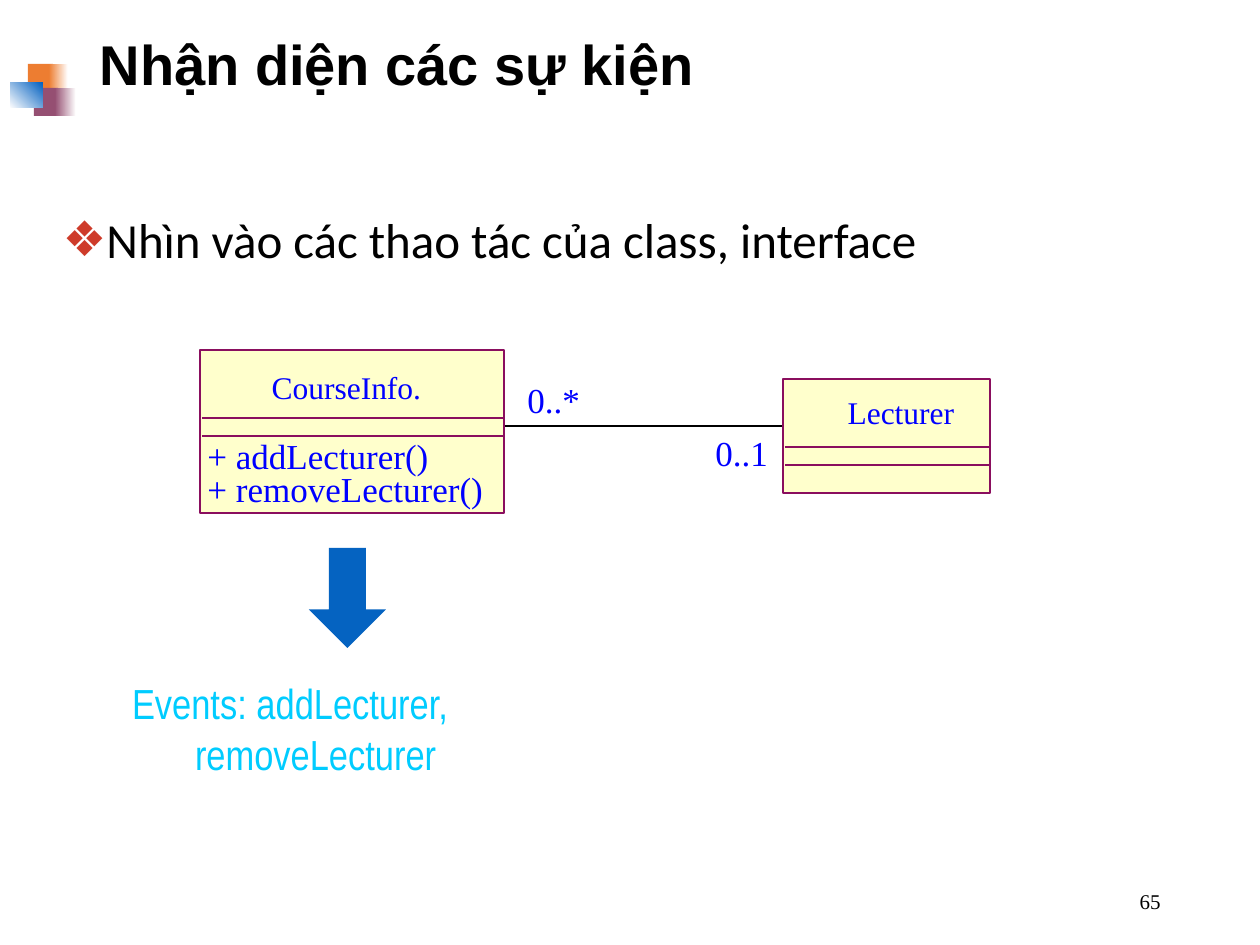
from lxml.etree import SubElement
from pptx import Presentation
from pptx.dml.color import RGBColor
from pptx.enum.shapes import MSO_CONNECTOR, MSO_SHAPE
from pptx.enum.text import MSO_ANCHOR, MSO_AUTO_SIZE, PP_ALIGN
from pptx.oxml.ns import qn
from pptx.util import Emu, Pt

SERIF = "Times New Roman"
BLACK, INK, BORDER, CREAM = "000000", "0000FF", "8A0E5E", "FFFFCC"
ORANGE, PLUM, BLUE, WHITE = "ED7D31", "954F72", "0563C1", "FFFFFF"


def px(n):
    """Pixels, at 126 to the inch, as EMU."""
    return Emu(round(n * 914400 / 126))


def rgb(value):
    return RGBColor.from_string(value)


def format_text(tf, size, font, color, align=PP_ALIGN.LEFT, bold=False):
    for p in tf.paragraphs:
        p.alignment = align
        for r in p.runs:
            r.font.size = Pt(size)
            r.font.name = font
            r.font.bold = bold
            r.font.color.rgb = rgb(color)


def fill_placeholder(sp, box, text, size, font, anchor, bold=False):
    sp.left, sp.top, sp.width, sp.height = map(px, box)
    tf = sp.text_frame
    tf.text = text
    tf.auto_size = MSO_AUTO_SIZE.NONE
    tf.vertical_anchor = anchor
    tf.paragraphs[0].line_spacing = 0.9
    format_text(tf, size, font, BLACK, bold=bold)
    return tf.paragraphs[0]


def add_bullet(p, char, color, indent):
    pPr = p._p.get_or_add_pPr()
    pPr.set("marL", str(px(indent)))
    pPr.set("indent", str(-px(indent)))
    clr = SubElement(pPr, qn("a:buClr"))
    SubElement(clr, qn("a:srgbClr"), val=color)
    SubElement(pPr, qn("a:buFont"), typeface="Arial")
    SubElement(pPr, qn("a:buChar"), char=char)


def add_tab_stop(p, pos):
    tabs = SubElement(p._p.get_or_add_pPr(), qn("a:tabLst"))
    SubElement(tabs, qn("a:tab"), pos=str(px(pos)), algn="l")


def add_label(s, box, text, size=20, font=SERIF, color=INK,
              align=PP_ALIGN.LEFT, wrap=True):
    tf = s.shapes.add_textbox(*map(px, box)).text_frame
    tf.word_wrap = wrap
    tf.text = text
    format_text(tf, size, font, color, align)
    return tf


def add_block(s, box, fill, line=None, kind=MSO_SHAPE.RECTANGLE):
    sp = s.shapes.add_shape(kind, *map(px, box))
    sp.shadow.inherit = False
    sp.fill.solid()
    sp.fill.fore_color.rgb = rgb(fill)
    if line:
        sp.line.color.rgb = rgb(line)
        sp.line.width = Pt(1)
    else:
        sp.line.fill.background()
    return sp


def add_fade(s, box, start, end, angle=0):
    """Borderless rectangle with a gradient; angle is counter-clockwise."""
    fill = add_block(s, box, start).fill
    fill.gradient()
    fill.gradient_angle = angle
    for stop, color in zip(fill.gradient_stops, (start, end)):
        stop.color.rgb = rgb(color)


def add_rule(s, x1, x2, y, color):
    line = s.shapes.add_connector(MSO_CONNECTOR.STRAIGHT,
                                  px(x1), px(y), px(x2), px(y))
    line.line.color.rgb = rgb(color)
    line.line.width = Pt(1)
    SubElement(line._element.spPr, qn("a:effectLst"))


def add_class(s, box, rules, name, name_box):
    left, _, width, _ = box
    add_block(s, box, CREAM, BORDER)
    for y in rules:
        add_rule(s, left + 2, left + width, y, BORDER)
    add_label(s, name_box, name, size=18, align=PP_ALIGN.CENTER)


def add_ornament(s):
    add_block(s, (28, 64, 25, 28), ORANGE)
    add_fade(s, (49, 64, 19, 28), ORANGE, WHITE)
    add_block(s, (34, 88, 24, 28), PLUM)
    add_fade(s, (55, 88, 21, 28), PLUM, WHITE)
    add_fade(s, (10, 83, 33, 25), WHITE, BLUE, 45)


def add_class_diagram(s):
    add_rule(s, 504, 784, 426, BLACK)
    add_class(s, (200, 350, 304, 163), (418, 436),
              "CourseInfo.", (203, 362, 287, 50))
    for y, operation in ((428, "+ addLecturer()"), (461, "+ removeLecturer()")):
        add_label(s, (195, y, 361, 55), operation)
    add_class(s, (783, 379, 207, 114), (447, 465),
              "Lecturer", (819, 387, 164, 50))
    for x, y, count in ((515, 372, "0..*"), (703, 425, "0..1")):
        add_label(s, (x, y, 78, 55), count, wrap=False)


def add_events(s):
    arrow = add_block(s, (309, 548, 77, 100), BLUE, kind=MSO_SHAPE.DOWN_ARROW)
    arrow.adjustments[0] = 0.48
    arrow.adjustments[1] = 0.5
    tf = add_label(s, (117, 670, 513, 117),
                   "Events: addLecturer,\v\tremoveLecturer",
                   size=24, font="Arial Narrow", color="00CCFF")
    tf.margin_left = tf.margin_right = px(15)
    tf.margin_top = tf.margin_bottom = px(8)
    add_tab_stop(tf.paragraphs[0], 63)


def main():
    prs = Presentation()
    prs.slide_width, prs.slide_height = px(1260), px(945)
    s = prs.slides.add_slide(prs.slide_layouts[1])
    add_ornament(s)
    fill_placeholder(s.shapes.title, (87, 16, 1086, 102),
                     "Nhận diện các sự kiện", 32, "Arial",
                     MSO_ANCHOR.MIDDLE, bold=True)
    p = fill_placeholder(s.placeholders[1], (50, 210, 1169, 630),
                         "Nhìn vào các thao tác của class, interface",
                         28, "Calibri", MSO_ANCHOR.TOP)
    p.space_before = Pt(10)
    add_bullet(p, "❖", "CE3B2A", 44 - 19)
    number = add_label(s, (890, 876, 283, 50), "65", size=12, color=BLACK,
                       align=PP_ALIGN.RIGHT)
    number.vertical_anchor = MSO_ANCHOR.MIDDLE
    add_class_diagram(s)
    add_events(s)
    prs.save("out.pptx")


if __name__ == "__main__":
    main()
